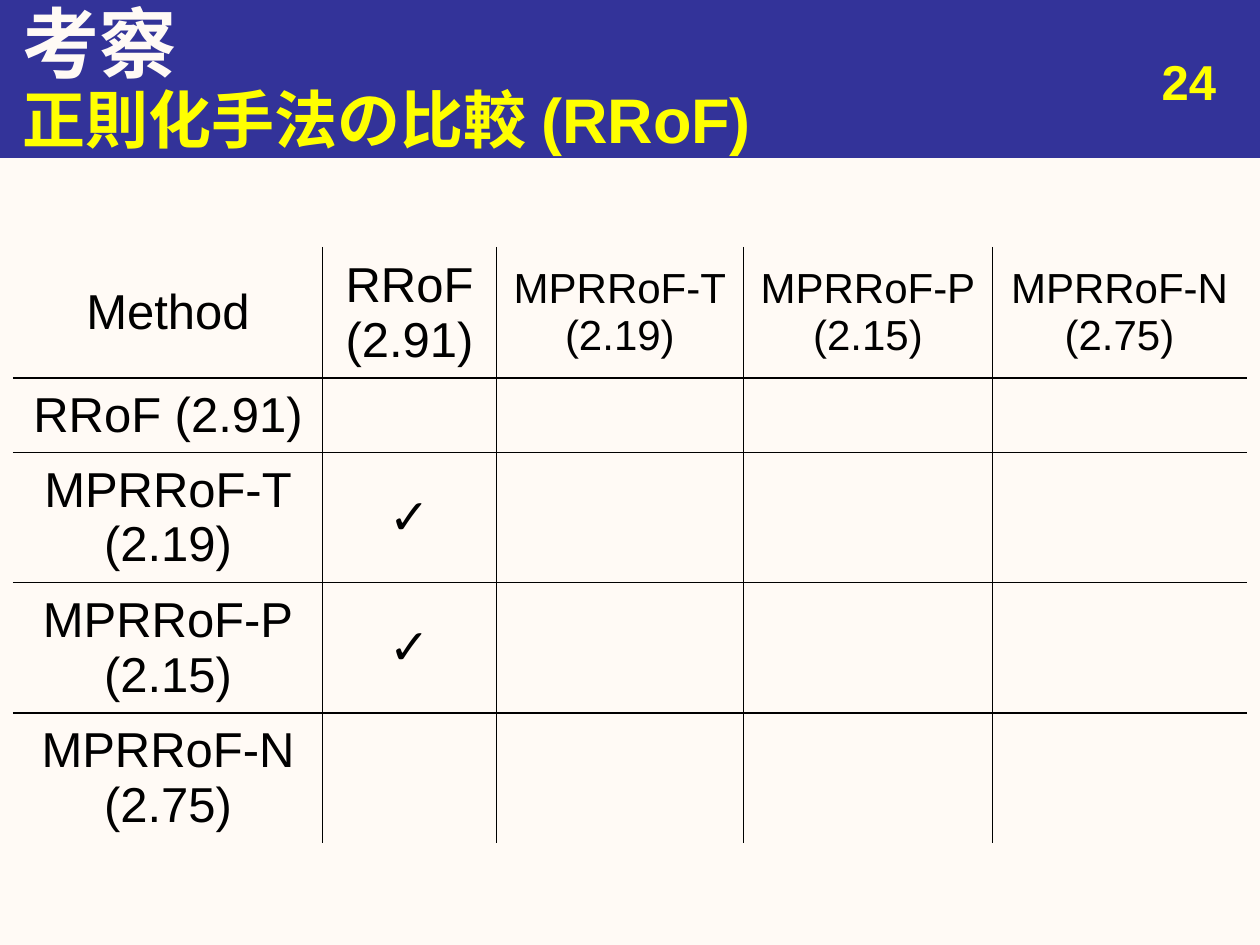
from lxml import etree
from pptx import Presentation
from pptx import util as u
from pptx.dml.color import RGBColor
from pptx.enum import shapes, text
from pptx.oxml import ns

Pt = u.Pt
HEX = {"paper": "FFFAF5", "band": "333399", "accent": "FFFF00", "ink": "000000"}
LEFT, MID, RIGHT = text.PP_ALIGN.LEFT, text.PP_ALIGN.CENTER, text.PP_ALIGN.RIGHT
TOP, CENTER = text.MSO_ANCHOR.TOP, text.MSO_ANCHOR.MIDDLE

SCORES = {"RRoF": "2.91", "MPRRoF-T": "2.19", "MPRRoF-P": "2.15", "MPRRoF-N": "2.75"}
BETTER = {("MPRRoF-T", "RRoF"), ("MPRRoF-P", "RRoF")}


def color(name):
    return RGBColor.from_string(HEX[name])


def write(frame, lines, align, size, ink, bold=False):
    """Fill a text frame with one paragraph per line."""
    form = {"name": "Arial", "size": Pt(size), "bold": bold}
    for i, line in enumerate(lines):
        para = frame.paragraphs[0] if i == 0 else frame.add_paragraph()
        para.alignment = align
        if line:
            para.add_run().text = line
        for font in [para.font] + [run.font for run in para.runs]:
            for key, value in form.items():
                setattr(font, key, value)
            font.color.rgb = color(ink)


def label(slide, box, line, size, ink, align=LEFT, anchor=CENTER):
    frame = slide.shapes.add_textbox(*map(Pt, box)).text_frame
    frame.word_wrap = True
    frame.vertical_anchor = anchor
    write(frame, [line], align, size, ink, bold=True)


def header(slide, box):
    x, y, w, h = box
    # Band
    band = slide.shapes.add_shape(shapes.MSO_SHAPE.RECTANGLE, *map(Pt, box))
    band.shadow.inherit = False
    band.fill.solid()
    band.fill.fore_color.rgb = color("band")
    band.line.color.rgb = color("band")
    band.line.width = Pt(0.75)
    # Title, page number, subtitle
    label(slide, (x + 6, y, w - 6, 48), "考察", 44, "paper")
    label(slide, (x + w - 186, y + 26, 168, 37.5), "24", 28, "accent", RIGHT, TOP)
    label(slide, (x + 6, y + h - 45, w - 6, 45), "正則化手法の比較 (RRoF)", 36, "accent")


def border(cell, edges):
    """Draw the cell's edges, given as {side: colour name}."""
    props = cell._tc.get_or_add_tcPr()
    for i, side in enumerate("LRTB"):
        line = etree.Element(ns.qn("a:ln" + side), w=str(Pt(1)))
        fill = etree.SubElement(line, ns.qn("a:solidFill"))
        etree.SubElement(fill, ns.qn("a:srgbClr"), val=HEX[edges[side]])
        props.insert(i, line)


def content(row, col):
    """Give the lines and text size of one cell."""
    names = [None, *SCORES]
    if row == col == 0:
        return ["Method"], 28
    if row and col:
        return ["✓" if (names[row], names[col]) in BETTER else ""], 28
    name = names[row or col]
    score = f"({SCORES[name]})"
    if name == "RRoF":
        return [f"{name} {score}"], 28
    return [name, score], 28 if row else 24


def matrix(slide, box, widths, heights):
    rows, cols = len(heights), len(widths)
    table = slide.shapes.add_table(rows, cols, *map(Pt, box)).table
    table.first_row = table.horz_banding = False
    for col, width in zip(table.columns, widths):
        col.width = Pt(width)
    for row, height in zip(table.rows, heights):
        row.height = Pt(height)
    for r in range(rows):
        for c in range(cols):
            cell = table.cell(r, c)
            cell.fill.background()
            cell.vertical_anchor = CENTER
            lines, size = content(r, c)
            write(cell.text_frame, lines, MID, size, "ink")
            # Outer edges blend into the background
            outer = {"L": c == 0, "R": c == cols - 1, "T": r == 0, "B": r == rows - 1}
            border(cell, {k: "paper" if out else "ink" for k, out in outer.items()})


def main():
    deck = Presentation()
    deck.slide_width, deck.slide_height = Pt(720), Pt(540)
    slide = deck.slides.add_slide(deck.slide_layouts[6])
    slide.background.fill.solid()
    slide.background.fill.fore_color.rgb = color("paper")
    header(slide, (0, 0, 720, 90))
    widths = [176.5, 99.5, 141, 142.5, 145]
    heights = [70, 42.5, 69.5, 69.5, 69.5]
    matrix(slide, (7.75, 141.5, sum(widths), sum(heights)), widths, heights)
    deck.save("out.pptx")


if __name__ == "__main__":
    main()
